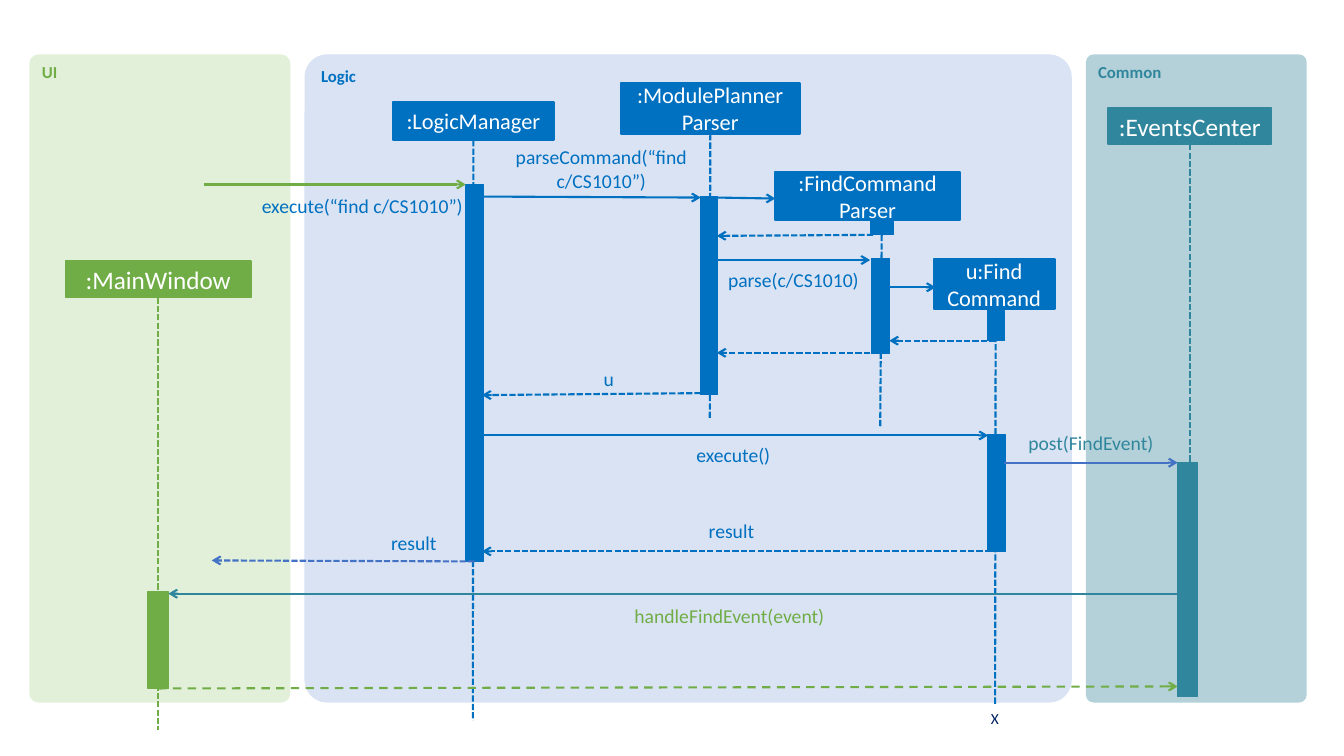
"""Build the sequence diagram of the find command across UI, Logic and Common."""
from dataclasses import dataclass
from typing import Optional

from lxml.etree import SubElement
from pptx import Presentation
from pptx.dml.color import RGBColor
from pptx.enum.dml import MSO_LINE
from pptx.enum.shapes import MSO_CONNECTOR, MSO_SHAPE
from pptx.enum.text import MSO_ANCHOR, MSO_AUTO_SIZE, PP_ALIGN
from pptx.oxml.ns import qn
from pptx.shapes.autoshape import Shape
from pptx.shapes.shapetree import SlideShapes
from pptx.text.text import TextFrame
from pptx.util import Emu, Pt

PX = 9144
FONT = "Calibri"
WHITE = RGBColor(0xFF, 0xFF, 0xFF)
GREEN = RGBColor(0x70, 0xAD, 0x47)
BLUE = RGBColor(0x00, 0x70, 0xC0)
TEAL = RGBColor(0x30, 0x86, 0x9C)
INDIGO = RGBColor(0x44, 0x72, 0xC4)
NAVY = RGBColor(0x00, 0x20, 0x60)
PALE_GREEN = RGBColor(0xE2, 0xF0, 0xD9)
PALE_BLUE = RGBColor(0xDA, 0xE3, 0xF3)
PALE_TEAL = RGBColor(0xB4, 0xD1, 0xD9)

PANEL_TOP, PANEL_HEIGHT = 54, 643
TOP, BOTTOM = 0, 2


@dataclass
class Panel:
    title: str
    left: int
    width: int
    fill: RGBColor
    color: RGBColor


@dataclass
class Participant:
    name: str
    left: int
    top: int
    width: int
    height: int
    color: RGBColor = BLUE
    size: int = 16
    outline: float = 1.5


@dataclass
class Activation:
    key: str
    left: int
    top: int
    width: int
    height: int
    color: RGBColor = BLUE
    outline: float = 0.5


@dataclass
class Join:
    key: str
    site: int


@dataclass
class Line:
    x1: int
    y1: int
    x2: int
    y2: int
    color: RGBColor = BLUE
    dash: Optional[MSO_LINE] = None
    start: Optional[Join] = None
    arrow: bool = True


@dataclass
class Label:
    text: str
    left: int
    top: int
    width: int
    height: int = 24
    color: RGBColor = BLUE
    align: PP_ALIGN = PP_ALIGN.CENTER


DASHED = MSO_LINE.SQUARE_DOT

PANELS = [
    Panel("UI", 29, 259, PALE_GREEN, GREEN),
    Panel("Common", 1077, 219, PALE_TEAL, TEAL),
    Panel("Logic", 302, 761, PALE_BLUE, BLUE),
]

PARTICIPANTS = [
    Participant(":LogicManager", 390, 101, 159, 38),
    Participant(":ModulePlanner\nParser", 616, 82, 177, 51),
    Participant(":FindCommand\nParser", 769, 171, 183, 47),
    Participant("u:Find\vCommand", 926, 257, 120, 50),
    Participant(":EventsCenter", 1099, 107, 162, 36, TEAL, 18, 1),
    Participant(":MainWindow", 65, 259, 184, 36, GREEN, 18, 1),
]

ACTIVATIONS = [
    Activation("manager", 462, 183, 17, 374),
    Activation("planner", 695, 195, 17, 196),
    Activation("parser creation", 863, 220, 23, 13),
    Activation("parser", 864, 256, 18, 95),
    Activation("command creation", 979, 308, 17, 30),
    Activation("command", 979, 431, 18, 116),
    Activation("events", 1168, 459, 20, 232, TEAL, 1),
    Activation("window", 147, 587, 20, 96, GREEN, 1),
]

LIFELINES = [
    Line(469, 139, 469, 715, BLUE, DASHED, Join(":LogicManager", BOTTOM), False),
    Line(704, 133, 704, 416, BLUE, DASHED, Join(":ModulePlanner\nParser", BOTTOM), False),
    Line(874, 233, 873, 423, BLUE, DASHED, Join("parser creation", BOTTOM), False),
    Line(987, 308, 987, 699, BLUE, DASHED, Join("command creation", TOP), False),
    Line(1180, 143, 1180, 613, TEAL, DASHED, Join(":EventsCenter", BOTTOM), False),
    Line(157, 295, 157, 724, GREEN, DASHED, Join(":MainWindow", BOTTOM), False),
]

MESSAGES = [
    Line(202, 183, 462, 183, GREEN),
    Line(478, 195, 695, 196),
    Line(711, 196, 769, 197),
    Line(866, 233, 711, 234, dash=DASHED),
    Line(712, 258, 863, 258),
    Line(882, 285, 928, 285),
    Line(987, 338, 882, 338, dash=DASHED, start=Join("command creation", BOTTOM)),
    Line(863, 350, 711, 350, dash=DASHED),
    Line(695, 390, 478, 392, dash=DASHED),
    Line(468, 432, 980, 432),
    Line(996, 459, 1168, 459, INDIGO),
    Line(983, 547, 478, 547, dash=DASHED),
    Line(469, 557, 210, 556, INDIGO, DASHED, Join("manager", BOTTOM)),
    Line(1169, 589, 167, 589, TEAL),
    Line(157, 683, 1168, 681, GREEN, MSO_LINE.DASH, Join("window", BOTTOM)),
]

LABELS = [
    Label("execute(“find c/CS1010”)", 251, 192, 217),
    Label("parseCommand(“find c/CS1010”)", 503, 144, 187, 47),
    Label("parse(c/CS1010)", 714, 266, 146),
    Label("u", 585, 364, 24, align=PP_ALIGN.RIGHT),
    Label("execute()", 670, 439, 94, align=PP_ALIGN.RIGHT),
    Label("post(FindEvent)", 1009, 428, 146, color=TEAL),
    Label("result", 680, 515, 68, align=PP_ALIGN.RIGHT),
    Label("result", 350, 527, 83, align=PP_ALIGN.RIGHT),
    Label("handleFindEvent(event)", 623, 599, 201, color=GREEN),
]

DESTRUCTION = Label("X", 973, 699, 28, 29, NAVY, PP_ALIGN.LEFT)


def px(*lengths: int) -> list[Emu]:
    """Turn px lengths into EMU."""
    return [Emu(length * PX) for length in lengths]


def write(frame: TextFrame, text: str, size: int, color: RGBColor,
          align: PP_ALIGN, bold: bool = False) -> None:
    """Fill a text frame and format its runs."""
    frame.text = text
    frame.word_wrap = True
    for paragraph in frame.paragraphs:
        paragraph.alignment = align
        for run in paragraph.runs:
            run.font.name = FONT
            run.font.size = Pt(size)
            run.font.bold = bold
            run.font.color.rgb = color


def draw_panel(shapes: SlideShapes, panel: Panel) -> None:
    """Draw a titled background panel."""
    area = shapes.add_shape(MSO_SHAPE.ROUNDED_RECTANGLE,
                            *px(panel.left, PANEL_TOP, panel.width, PANEL_HEIGHT))
    area.adjustments[0] = 0.035
    area.shadow.inherit = False
    area.fill.solid()
    area.fill.fore_color.rgb = panel.fill
    area.line.fill.background()
    area.text_frame.vertical_anchor = MSO_ANCHOR.TOP
    write(area.text_frame, panel.title, 12, panel.color, PP_ALIGN.LEFT, True)


def draw_block(shapes: SlideShapes, block: Participant | Activation) -> Shape:
    """Draw a plain filled rectangle."""
    body = shapes.add_shape(MSO_SHAPE.RECTANGLE,
                            *px(block.left, block.top, block.width, block.height))
    body.shadow.inherit = False
    body.fill.solid()
    body.fill.fore_color.rgb = block.color
    body.line.color.rgb = block.color
    body.line.width = Pt(block.outline)
    return body


def draw_participant(shapes: SlideShapes, participant: Participant) -> Shape:
    """Draw a participant box with its name."""
    body = draw_block(shapes, participant)
    body.text_frame.vertical_anchor = MSO_ANCHOR.MIDDLE
    write(body.text_frame, participant.name, participant.size, WHITE, PP_ALIGN.CENTER)
    return body


def draw_line(shapes: SlideShapes, line: Line, blocks: dict[str, Shape]) -> None:
    """Draw a lifeline or a message arrow."""
    stroke = shapes.add_connector(MSO_CONNECTOR.STRAIGHT,
                                  *px(line.x1, line.y1, line.x2, line.y2))
    if line.start:
        stroke.begin_connect(blocks[line.start.key], line.start.site)
    stroke.line.color.rgb = line.color
    stroke.line.width = Pt(1.5)
    if line.dash:
        stroke.line.dash_style = line.dash
    if line.arrow:
        SubElement(stroke.get_or_add_ln(), qn("a:tailEnd"), type="arrow")
    SubElement(stroke.element.spPr, qn("a:effectLst"))


def draw_label(shapes: SlideShapes, label: Label, size: int = 14, inset: bool = False) -> None:
    """Draw a text label."""
    frame = shapes.add_textbox(*px(label.left, label.top, label.width, label.height)).text_frame
    if not inset:
        frame.margin_left = frame.margin_right = frame.margin_top = frame.margin_bottom = 0
    write(frame, label.text, size, label.color, label.align)
    frame.auto_size = MSO_AUTO_SIZE.SHAPE_TO_FIT_TEXT


def main() -> None:
    """Assemble and save the slide."""
    deck = Presentation()
    deck.slide_width, deck.slide_height = px(1333, 750)
    shapes = deck.slides.add_slide(deck.slide_layouts[6]).shapes
    for panel in PANELS:
        draw_panel(shapes, panel)
    blocks = {item.name: draw_participant(shapes, item) for item in PARTICIPANTS}
    blocks |= {item.key: draw_block(shapes, item) for item in ACTIVATIONS}
    for line in LIFELINES + MESSAGES:
        draw_line(shapes, line, blocks)
    for label in LABELS:
        draw_label(shapes, label)
    draw_label(shapes, DESTRUCTION, 11, True)
    deck.save("out.pptx")


if __name__ == "__main__":
    main()
